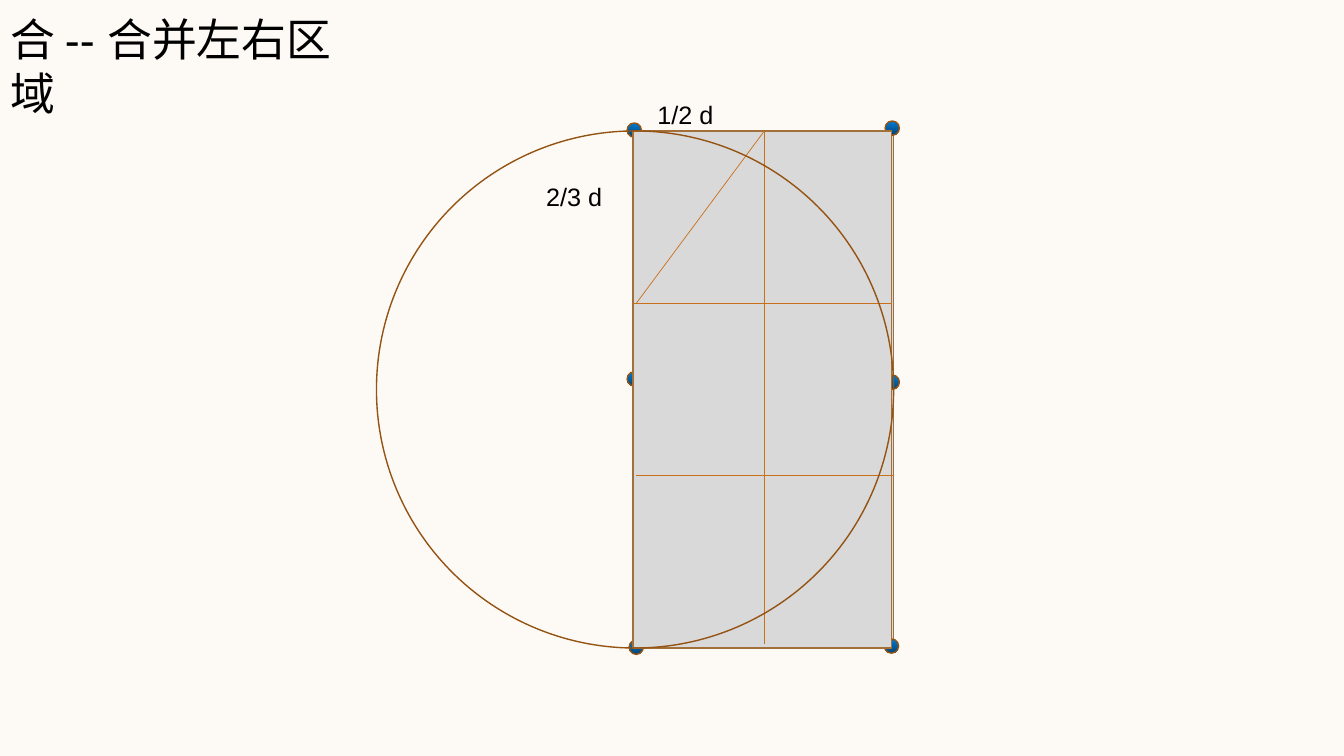
from lxml.etree import SubElement
from pptx import Presentation
from pptx.dml.color import RGBColor
from pptx.enum.shapes import MSO_CONNECTOR as Connector, MSO_SHAPE as Shape
from pptx.enum.text import MSO_ANCHOR as Anchor, MSO_AUTO_SIZE as AutoSize, PP_ALIGN as Align
from pptx.oxml.ns import qn
from pptx.util import Cm, Pt

COLORS = {
    "paper": "FDFAF6", "ink": "000000", "area": "D9D9D9", "area_edge": "A37039",
    "orange": "C8701A", "outline": "945313", "dot_top": "007BD3", "dot_bottom": "034373",
}


def write(shape, text, size, font="Arial", color="ink"):
    frame = shape.text_frame
    frame.word_wrap = True
    frame.auto_size = AutoSize.NONE
    frame.vertical_anchor = Anchor.TOP
    paragraph = frame.paragraphs[0]
    paragraph.alignment = Align.LEFT
    run = paragraph.add_run()
    run.text = text
    run.font.size = Pt(size)
    run.font.name = font
    run.font.color.rgb = RGBColor.from_string(COLORS[color])


def add_figure(kind, left, top, width, height, edge, fill=None):
    figure = slide.shapes.add_shape(kind, Cm(left), Cm(top), Cm(width), Cm(height))
    figure.shadow.inherit = False
    figure.line.color.rgb = RGBColor.from_string(COLORS[edge])
    figure.line.width = Pt(1)
    if fill:
        figure.fill.solid()
        figure.fill.fore_color.rgb = RGBColor.from_string(COLORS[fill])
    else:
        figure.fill.background()
    return figure


prs = Presentation()
prs.slide_width, prs.slide_height = Cm(33.86), Cm(19.05)
slide = prs.slides.add_slide(prs.slide_layouts[5])
slide.background.fill.solid()
slide.background.fill.fore_color.rgb = RGBColor.from_string(COLORS["paper"])

# Circle geometry in cm
diameter = 13.03
radius = diameter / 2
center_x, top = 16, 3.3
area_left = 15.95

# Title
title = slide.shapes.title
title.left, title.top, title.width, title.height = Cm(0), Cm(0.18), Cm(9.7), Cm(1.63)
write(title, "合 -- 合并左右区域", size=32)

# Right area behind the dots, with the circle's center
add_figure(Shape.RECTANGLE, center_x, top, radius, diameter, "area_edge", "area")
add_figure(Shape.OVAL, 15.85, 9.4, 0.3, 0.3, "outline", "orange")

# Dots on the corners and the middles of the sides
dots = [(15.8, 3.1), (15.8, 9.37), (15.85, 16.13), (22.3, 3.05), (22.3, 9.45), (22.28, 16.1)]
for dot_left, dot_top in dots:
    dot = add_figure(Shape.OVAL, dot_left, dot_top, 0.36, 0.36, "outline")
    dot.fill.gradient()
    dot.fill.gradient_angle = 270
    for stop, shade in zip(dot.fill.gradient_stops, ("dot_top", "dot_bottom")):
        stop.color.rgb = RGBColor.from_string(COLORS[shade])

# Merged area
add_figure(Shape.RECTANGLE, area_left, top, radius, diameter, "area_edge", "area")

# Two by three division and the diagonal of its first cell
middle_x = center_x + radius / 2
first_third, second_third = top + diameter / 3, top + diameter * 2 / 3
divisions = [
    (area_left, first_third, area_left + radius, first_third),
    (16.03, second_third, center_x + radius, second_third),
    (middle_x, top, middle_x, 16.23),
    (middle_x, top, 16.03, first_third),
]
for x1, y1, x2, y2 in divisions:
    division = slide.shapes.add_connector(Connector.STRAIGHT, Cm(x1), Cm(y1), Cm(x2), Cm(y2))
    division.line.color.rgb = RGBColor.from_string(COLORS["orange"])
    division.line.width = Pt(0.5)
    SubElement(division._element.spPr, qn("a:effectLst"))

# Cell measures
for measure, left, measure_top in [("2/3 d", 13.51, 4.45), ("1/2 d", 16.31, 2.39)]:
    label = slide.shapes.add_textbox(Cm(left), Cm(measure_top), Cm(2.49), Cm(1.02))
    write(label, measure, size=18)

# Circle
add_figure(Shape.OVAL, center_x - radius, top, diameter, diameter, "outline")

prs.save("out.pptx")
